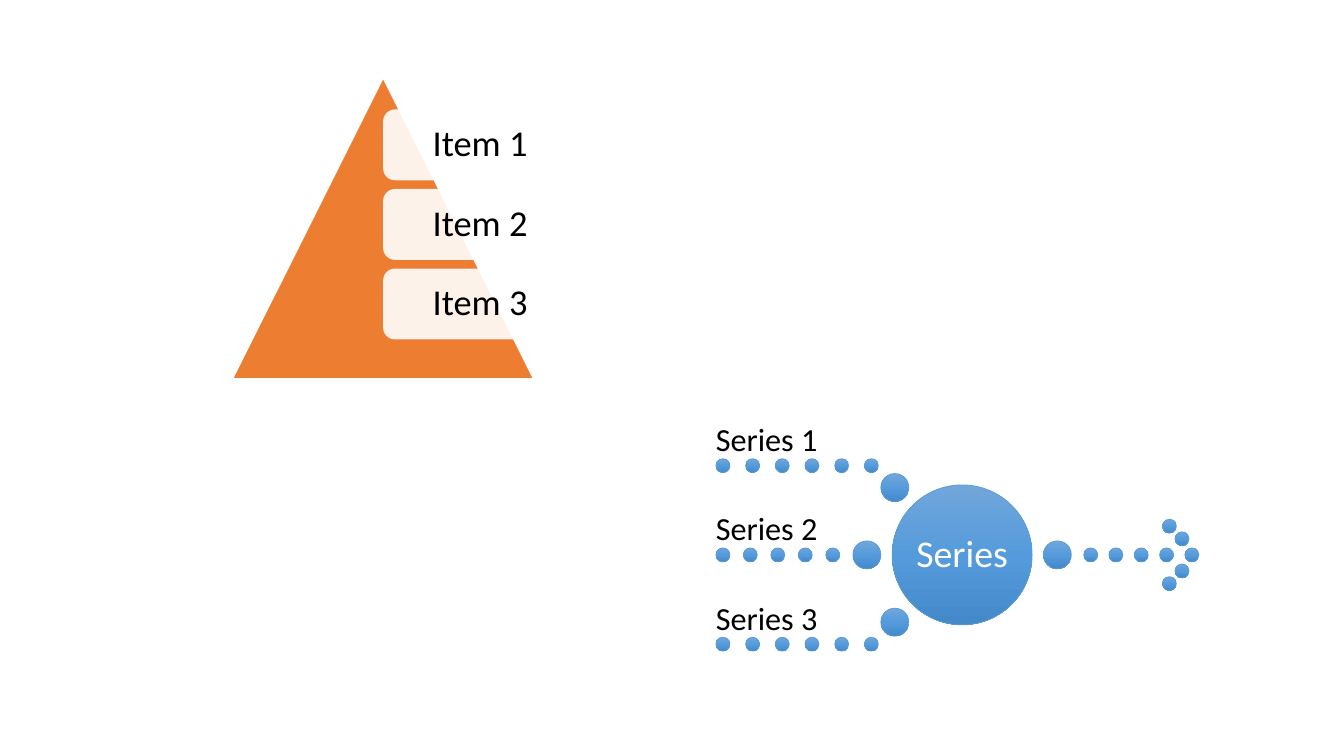
import copy
import math

import pptx
import pptx.dml.color
import pptx.enum.shapes
import pptx.enum.text
import pptx.util
from lxml import etree

FONT = "Calibri"
SHAPE = pptx.enum.shapes.MSO_SHAPE
ANCHOR = pptx.enum.text.MSO_ANCHOR
ALIGN = pptx.enum.text.PP_ALIGN
inches = pptx.util.Inches
BLUE_STOPS = [(0, "71A6DB"), (0.5, "559BDB"), (1, "448ACA")]


def color(value):
    return pptx.dml.color.RGBColor.from_string(value)


def add_plain(group, kind, left, top, width, height):
    shape = group.shapes.add_shape(kind, *map(inches, (left, top, width, height)))
    shape.shadow.inherit = False
    shape.line.fill.background()
    return shape


def write(shape, text, size, ink="000000", align=ALIGN.CENTER,
          anchor=ANCHOR.MIDDLE, inset=0):
    frame = shape.text_frame
    frame.word_wrap = True
    frame.vertical_anchor = anchor
    frame.margin_left = frame.margin_right = inches(inset)
    frame.margin_top = frame.margin_bottom = inches(inset)
    para = frame.paragraphs[0]
    para.alignment = align
    para.line_spacing = 0.9
    span = para.add_run()
    span.text = text
    span.font.name = FONT
    span.font.size = pptx.util.Pt(size)
    span.font.color.rgb = color(ink)


def set_opacity(shape, share):
    tone = shape.fill._xPr.find(".//" + pptx.oxml.ns.qn("a:srgbClr"))
    alpha = etree.SubElement(tone, pptx.oxml.ns.qn("a:alpha"))
    alpha.set("val", str(round(share * 100000)))


def add_ball(group, center_x, center_y, size):
    ball = add_plain(group, SHAPE.OVAL, center_x - size / 2, center_y - size / 2,
                     size, size)
    ball.fill.gradient()
    ball.fill.gradient_angle = 270
    stop_list = ball.fill._xPr.find(".//" + pptx.oxml.ns.qn("a:gsLst"))
    stop_list.append(copy.deepcopy(stop_list[0]))
    for stop, (position, tone) in zip(ball.fill.gradient_stops, BLUE_STOPS):
        stop.position = position
        stop.color.rgb = color(tone)
    ball.line.color.rgb = color("5B9BD5")
    ball.line.width = pptx.util.Pt(0.5)
    return ball


def add_dots(group, first_x, last_x, center_y, count, size):
    pitch = (last_x - first_x) / (count - 1)
    for index in range(count):
        add_ball(group, first_x + index * pitch, center_y, size)


def build_pyramid(page, box, items):
    left, top, width, height = box
    group = page.shapes.add_group_shape()
    triangle = add_plain(group, SHAPE.ISOSCELES_TRIANGLE, *box)
    triangle.fill.solid()
    triangle.fill.fore_color.rgb = color("ED7D31")
    for index, item in enumerate(items):
        card = add_plain(group, SHAPE.ROUNDED_RECTANGLE, left + width / 2,
                         top + height * (0.1 + index * 0.8 / len(items)),
                         width * 0.65, height * 0.2375)
        card.fill.solid()
        card.fill.fore_color.rgb = color("FFFFFF")
        set_opacity(card, 0.9)
        write(card, item, 26, inset=0.11)


def build_converging_flow(page, box, hub_text, labels):
    left, top, width, height = box
    group = page.shapes.add_group_shape()
    dot = width * 0.029
    first_x, tip_x = left + dot / 2, left + width - dot / 2
    hub_x, hub_y = left + width * 0.51, top + height / 2
    orbit = dot * 6.8

    hub = add_ball(group, hub_x, hub_y, dot * 10)
    write(hub, hub_text, 27, ink="FFFFFF")

    for degrees in (0, 135, 180, 225):
        angle = math.radians(degrees)
        add_ball(group, hub_x + orbit * math.cos(angle),
                 hub_y + orbit * math.sin(angle), dot * 2)

    rows = [(top + dot / 2, 6, 0.322), (hub_y, 5, 0.242),
            (top + height - dot / 2, 6, 0.322)]
    for label, (row_y, count, last_share) in zip(labels, rows):
        add_dots(group, first_x, left + width * last_share, row_y, count, dot)
        caption = group.shapes.add_textbox(
            inches(left), inches(row_y - dot * 3), inches(width / 3),
            inches(dot * 2.5))
        write(caption, label, 23, align=ALIGN.LEFT, anchor=ANCHOR.BOTTOM)

    add_dots(group, left + width * 0.776, tip_x, hub_y, 5, dot)
    for back, rise in ((0.7, 1.15), (1.6, 2.05)):
        for side in (-1, 1):
            add_ball(group, tip_x - back * dot, hub_y + side * rise * dot, dot)


def main():
    deck = pptx.Presentation()
    deck.slide_width = inches(13.33)
    deck.slide_height = inches(7.5)
    page = deck.slides.add_slide(deck.slide_layouts[6])
    build_pyramid(page, (2.32, 0.79, 2.96, 2.96), ["Item 1", "Item 2", "Item 3"])
    build_converging_flow(page, (7.1, 4.55, 4.79, 1.91), "Series",
                          ["Series 1", "Series 2", "Series 3"])
    deck.save("out.pptx")


if __name__ == "__main__":
    main()
